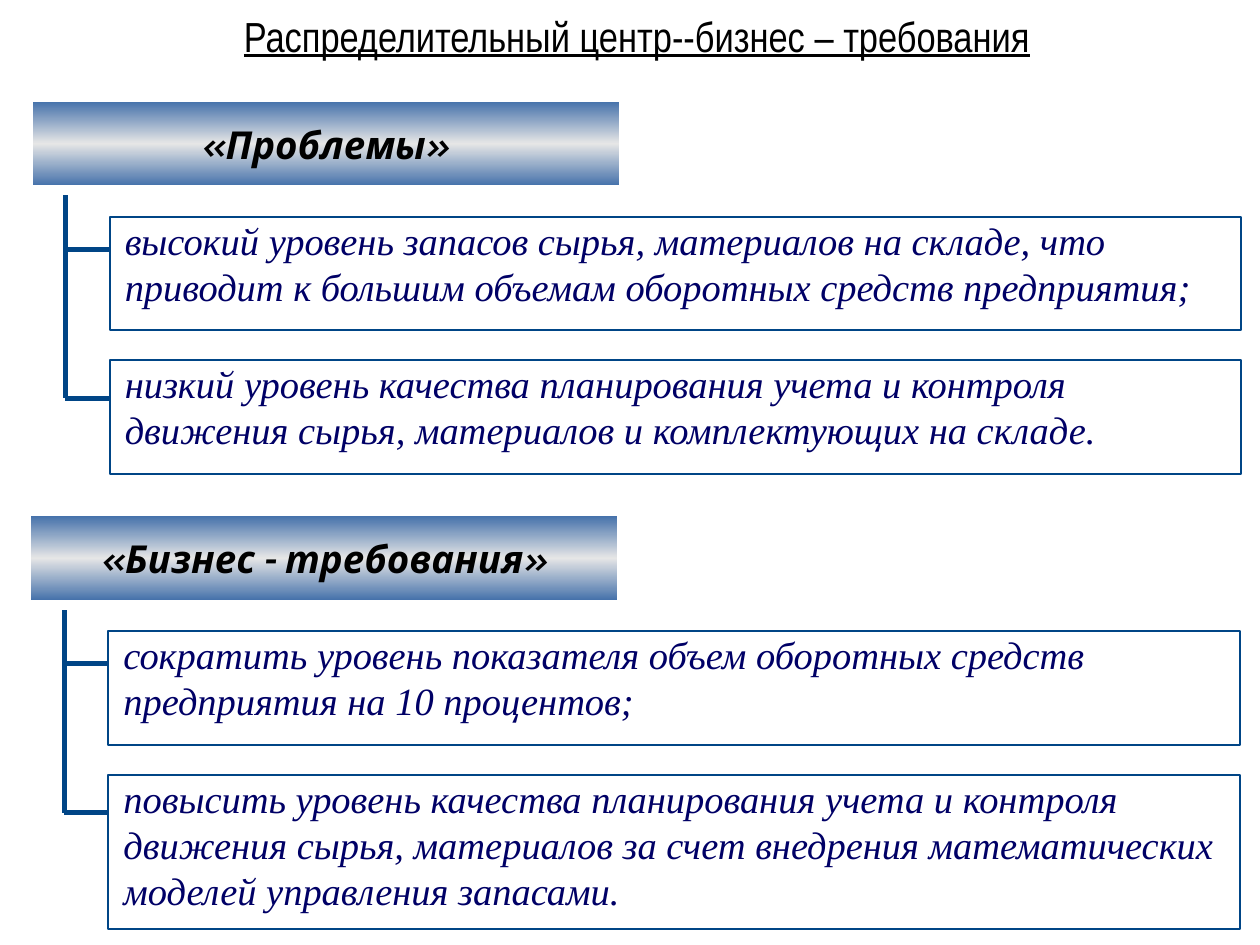
"""Build a slide listing distribution centre problems and business requirements."""
from copy import deepcopy

from lxml import etree
from pptx import Presentation
from pptx.dml.color import RGBColor
from pptx.enum.shapes import MSO_CONNECTOR, MSO_SHAPE
from pptx.enum.text import MSO_ANCHOR, MSO_AUTO_SIZE, PP_ALIGN
from pptx.oxml.ns import qn
from pptx.util import Inches, Pt

STRAIGHT = MSO_CONNECTOR.STRAIGHT
RECTANGLE = MSO_SHAPE.RECTANGLE
TOP, MIDDLE = MSO_ANCHOR.TOP, MSO_ANCHOR.MIDDLE
LEFT, CENTER = PP_ALIGN.LEFT, PP_ALIGN.CENTER
NO_AUTOFIT = MSO_AUTO_SIZE.NONE

TITLE = "Распределительный центр--бизнес – требования"
SECTIONS = [
    {
        "heading": "«Проблемы»",
        "origin": (0.22, 0.77),
        "items": [
            ("высокий уровень запасов сырья, материалов на складе, что приводит "
             "к большим объемам оборотных средств предприятия;", 0.9),
            ("низкий уровень качества планирования учета и контроля движения "
             "сырья, материалов и комплектующих на складе.", 0.9),
        ],
    },
    {
        "heading": "«Бизнес - требования»",
        "origin": (0.21, 4.06),
        "items": [
            ("сократить уровень показателя объем оборотных средств предприятия "
             "на 10 процентов;", 0.9),
            ("повысить уровень качества планирования учета и контроля движения "
             "сырья, материалов за счет внедрения математических моделей "
             "управления запасами.", 1.22),
        ],
    },
]

THEME = {
    "title": {"name": "Arial Narrow", "size": 24, "color": "000000", "underline": True},
    "heading": {"name": "Karla", "size": 22, "color": "000000", "bold": True, "italic": True},
    "item": {"name": "Times New Roman", "size": 22, "color": "000066", "italic": True},
    "line": "004586",
    "paper": "FFFFFF",
    "gradient": ("3465A4", "E6E6E6", "3465A4"),
    "box_line": 1.13,
    "tree_line": 2.83,
    "heading_line": 5.67,
}

HEADING_SIZE = (4.73, 0.74)
BOX_OFFSET = (0.65, 0.95)
BOX_WIDTH = 8.98
BOX_PITCH = 1.14
TRUNK_OFFSET = (0.3, 0.77)
BRANCH_LENGTH = 0.43
BRANCH_DROPS = (0.26, 0.3)


def color(value):
    return RGBColor.from_string(value)


def write_text(shape, text, style, alignment, anchor, insets, wrap=True):
    frame = shape.text_frame
    frame.auto_size = NO_AUTOFIT
    frame.word_wrap = wrap
    frame.vertical_anchor = anchor
    frame.margin_left, frame.margin_top, frame.margin_right, frame.margin_bottom = map(Inches, insets)
    paragraph = frame.paragraphs[0]
    paragraph.alignment = alignment
    run = paragraph.add_run()
    run.text = text
    font = run.font
    font.name = style["name"]
    font.size = Pt(style["size"])
    font.color.rgb = color(style["color"])
    font.bold = style.get("bold", False)
    font.italic = style.get("italic", False)
    font.underline = style.get("underline", False)


def add_rectangle(slide, left, top, width, height, line_color, line_width):
    shape = slide.shapes.add_shape(RECTANGLE, *map(Inches, (left, top, width, height)))
    shape.shadow.inherit = False
    shape.line.color.rgb = color(line_color)
    shape.line.width = Pt(line_width)
    return shape


def add_line(slide, *ends):
    connector = slide.shapes.add_connector(STRAIGHT, *map(Inches, ends))
    connector.line.color.rgb = color(THEME["line"])
    connector.line.width = Pt(THEME["tree_line"])
    etree.SubElement(connector.element.spPr, qn("a:effectLst"))


def fill_gradient(fill, colors):
    fill.gradient()
    fill.gradient_angle = 90
    stop_list = fill.element_stops if hasattr(fill, "element_stops") else None
    stops = fill.gradient_stops
    for stop, value in zip(stops, colors[::2]):
        stop.color.rgb = color(value)
    return stop_list


def add_heading(slide, text, left, top):
    shape = add_rectangle(slide, left, top, *HEADING_SIZE, THEME["paper"], THEME["heading_line"])
    shape.fill.gradient()
    shape.fill.gradient_angle = 90
    stop_list = shape.element.spPr.find(qn("a:gradFill")).find(qn("a:gsLst"))
    stop_list.insert(1, deepcopy(stop_list[0]))
    for index, (stop, value) in enumerate(zip(shape.fill.gradient_stops, THEME["gradient"])):
        stop.position = index / 2
        stop.color.rgb = color(value)
    write_text(shape, text, THEME["heading"], CENTER, MIDDLE, (0.14, 0.09, 0.14, 0.09), wrap=False)


def add_section(slide, section):
    left, top = section["origin"]
    box_left, first_top = left + BOX_OFFSET[0], top + BOX_OFFSET[1]
    trunk, trunk_top = left + TRUNK_OFFSET[0], top + TRUNK_OFFSET[1]
    box_tops = [first_top + index * BOX_PITCH for index in range(len(section["items"]))]
    branches = [box_top + drop for box_top, drop in zip(box_tops, BRANCH_DROPS)]
    add_line(slide, trunk, trunk_top, trunk, branches[-1])
    add_heading(slide, section["heading"], left, top)
    for (text, height), box_top, branch in zip(section["items"], box_tops, branches):
        add_line(slide, trunk, branch, trunk + BRANCH_LENGTH, branch)
        box = add_rectangle(slide, box_left, box_top, BOX_WIDTH, height, THEME["line"], THEME["box_line"])
        box.fill.solid()
        box.fill.fore_color.rgb = color(THEME["paper"])
        write_text(box, text, THEME["item"], LEFT, TOP, (0.12, 0, 0.06, 0))


def main():
    presentation = Presentation()
    presentation.slide_width, presentation.slide_height = Inches(10), Inches(7.5)
    slide = presentation.slides.add_slide(presentation.slide_layouts[5])
    title = slide.shapes.title
    title.left, title.top, title.width, title.height = map(Inches, (0.56, -0.26, 8.99, 1.09))
    write_text(title, TITLE, THEME["title"], CENTER, MIDDLE, (0.1, 0.05, 0.1, 0.05))
    for section in SECTIONS:
        add_section(slide, section)
    presentation.save("out.pptx")


if __name__ == "__main__":
    main()
